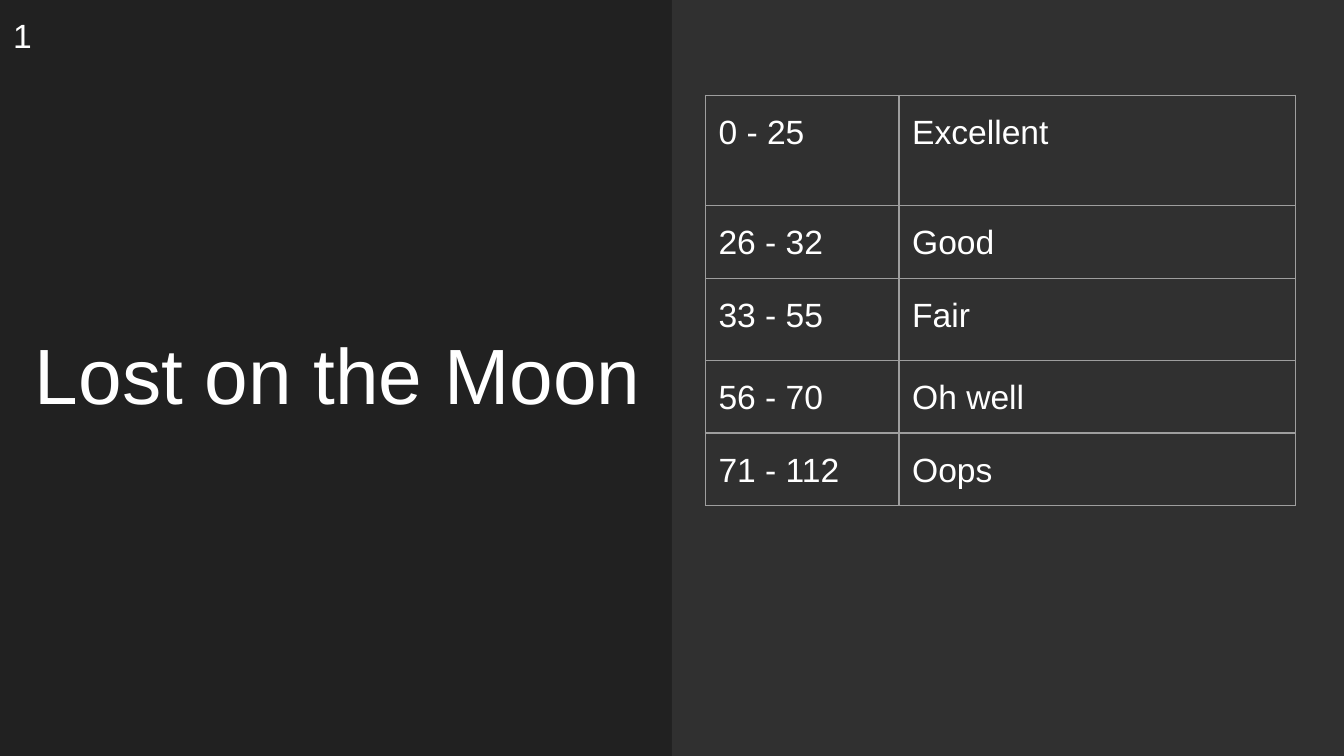
import pptx
import pptx.dml.color
import pptx.enum.shapes
import pptx.enum.text
import pptx.util
from lxml import etree
from pptx.oxml.ns import qn
from pptx.util import Cm

BACKGROUND = pptx.dml.color.RGBColor(0x21, 0x21, 0x21)
PANEL = pptx.dml.color.RGBColor(0x30, 0x30, 0x30)
BORDER = pptx.dml.color.RGBColor(0x9E, 0x9E, 0x9E)
WHITE = pptx.dml.color.RGBColor(0xFF, 0xFF, 0xFF)
INSET = Cm(0.25)


def style_paragraph(paragraph, size):
    paragraph.font.name = "Arial"
    paragraph.font.size = pptx.util.Pt(size)
    paragraph.font.color.rgb = WHITE


def add_borders(cell):
    properties = cell._tc.get_or_add_tcPr()
    for position, side in enumerate(("a:lnL", "a:lnR", "a:lnT", "a:lnB")):
        line = etree.Element(qn(side), w=str(pptx.util.Pt(0.75)))
        fill = etree.SubElement(line, qn("a:solidFill"))
        etree.SubElement(fill, qn("a:srgbClr"), val=str(BORDER))
        properties.insert(position, line)


deck = pptx.Presentation()
deck.slide_width = Cm(25.4)
deck.slide_height = Cm(14.29)
slide = deck.slides.add_slide(deck.slide_layouts[6])
slide.background.fill.solid()
slide.background.fill.fore_color.rgb = BACKGROUND

# Right half panel
panel = slide.shapes.add_shape(
    pptx.enum.shapes.MSO_SHAPE.RECTANGLE, Cm(12.7), 0, Cm(12.7), deck.slide_height)
panel.shadow.inherit = False
panel.fill.solid()
panel.fill.fore_color.rgb = PANEL
panel.line.fill.background()

# Title and number
headings = [
    ("Lost on the Moon", 42, (0.41, 6.07, 12.62, 2.13)),
    ("1", 18, (0, 0, 0.86, 1.3)),
]
for wording, size, place in headings:
    heading = slide.shapes.add_textbox(*map(Cm, place)).text_frame
    heading.word_wrap = True
    heading.vertical_anchor = pptx.enum.text.MSO_ANCHOR.BOTTOM
    heading.margin_left = heading.margin_right = INSET
    heading.margin_top = heading.margin_bottom = INSET
    heading.text = wording
    style_paragraph(heading.paragraphs[0], size)

# Score table
ratings = [
    ("0 - 25", "Excellent", 2.08),
    ("26 - 32", "Good", 1.32),
    ("33 - 55", "Fair", 1.55),
    ("56 - 70", "Oh well", 1.32),
    ("71 - 112", "Oops", 1.32),
]
column_widths = (3.66, 7.5)
scores = slide.shapes.add_table(
    len(ratings), len(column_widths), Cm(13.33), Cm(1.8),
    Cm(sum(column_widths)), Cm(sum(height for _, _, height in ratings))).table
scores.first_row = False
scores.horz_banding = False
for column, width in zip(scores.columns, column_widths):
    column.width = Cm(width)

for row, (points, verdict, height) in zip(scores.rows, ratings):
    row.height = Cm(height)
    for cell, wording in zip(row.cells, (points, verdict)):
        cell.fill.background()
        add_borders(cell)
        cell.margin_left = cell.margin_right = INSET
        cell.margin_top = cell.margin_bottom = INSET
        cell.text = wording
        paragraph = cell.text_frame.paragraphs[0]
        paragraph.line_spacing = 1.15
        paragraph.space_after = pptx.util.Pt(16)
        style_paragraph(paragraph, 18)

deck.save("out.pptx")
